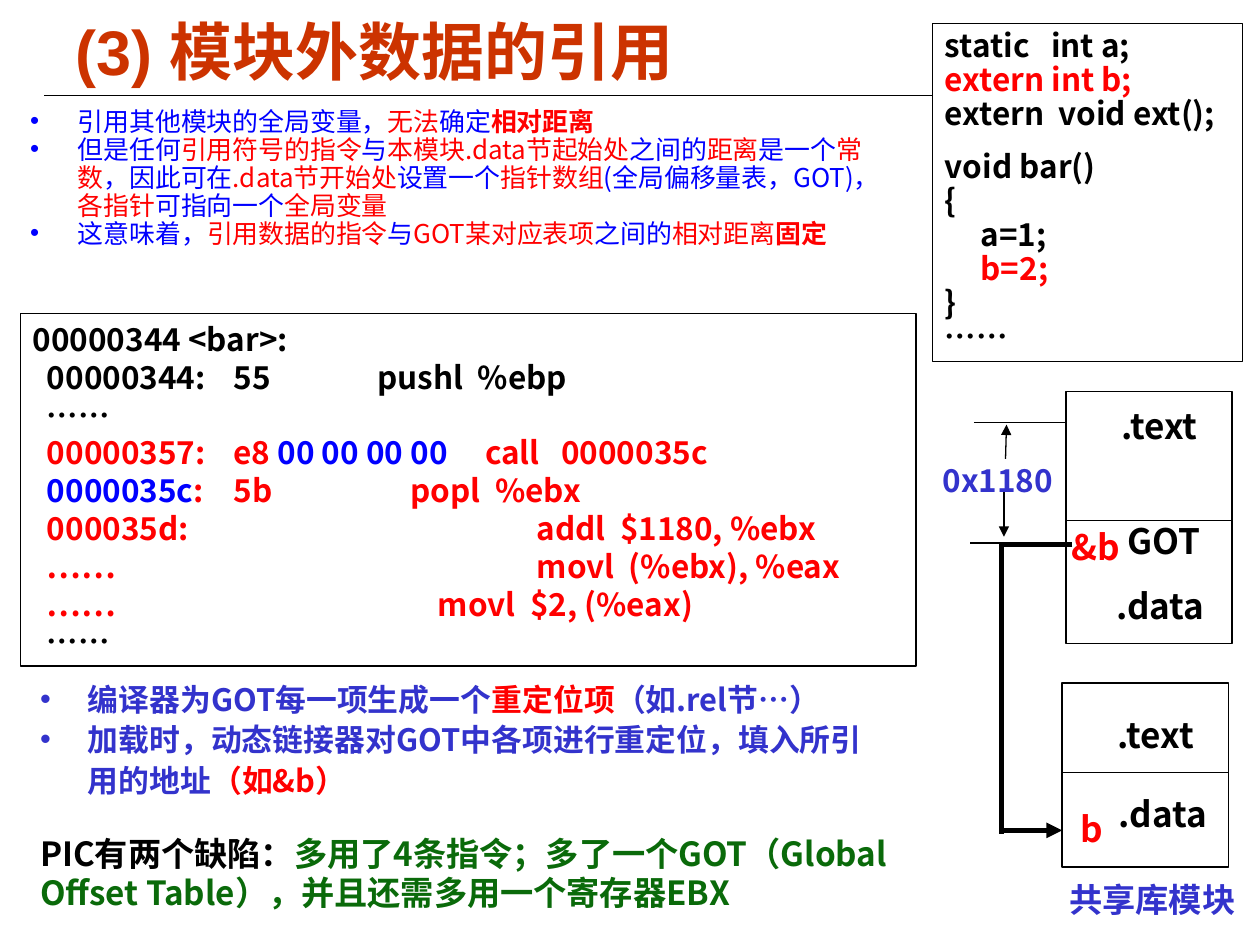
from lxml import etree
from pptx import Presentation
from pptx.dml.color import RGBColor
from pptx.enum.shapes import MSO_CONNECTOR, MSO_SHAPE
from pptx.enum.text import MSO_ANCHOR, PP_ALIGN
from pptx.oxml.ns import qn
from pptx.util import Cm, Pt

STRAIGHT, RECTANGLE = MSO_CONNECTOR.STRAIGHT, MSO_SHAPE.RECTANGLE
TOP, MIDDLE, LEFT = MSO_ANCHOR.TOP, MSO_ANCHOR.MIDDLE, PP_ALIGN.LEFT

THEME = {
    "latin": "Arial", "cjk": "Noto Sans CJK SC", "leading": 1.2,
    "black": "000000", "red": "FF0000", "blue": "0000FF", "indigo": "3333CC",
    "green": "0A6A0A", "rust": "CC3300", "white": "FFFFFF",
    "title": 36, "notes": 14.8, "code": 18, "reloc": 17.6, "drawback": 19,
    "label": 20, "thin": 0.75, "thick": 3,
}

# Content: a paragraph is a list of (text, colour) or (text, colour, bold) runs
TITLE = [[("(3) 模块外数据的引用", "rust")]]
NOTES = [
    [("引用其他模块的全局变量，", "blue"), ("无法", "red"), ("确定", "blue"),
     ("相对距离", "red", True)],
    [("但是任何", "blue"), ("引用符号的指令", "red"), ("与", "blue"),
     ("本模块.data节起始处", "red"), ("之间的", "blue"), ("距离", "red"),
     ("是一个", "blue"), ("常数", "red"), ("，因此可在", "blue"),
     (".data节开始处", "red"), ("设置一个", "blue"), ("指针数组", "red"),
     ("(全局偏移量表，GOT)，", "blue"), ("各指针", "red"),
     ("可指向一个", "blue"), ("全局变量", "red")],
    [("这意味着，", "blue"), ("引用数据的指令", "red"), ("与", "blue"),
     ("GOT某对应表项", "red"), ("之间的", "blue"), ("相对距离", "red"),
     ("固定", "red", True)],
]
SOURCE_CODE = [
    [("static   int a;", "black")],
    [("extern int b;", "red")],
    [("extern  void ext();", "black")],
    [("void bar()", "black")],
    [("{", "black")],
    [("     a=1;", "black")],
    [("     b=2;", "red")],
    [("}", "black")],
    [("……", "black")],
]
BODY_ROW, BODY_GAP = 3, 10.8
DISASSEMBLY = [
    [("00000344 <bar>:", "black")],
    [("  00000344:\t55\tpushl  %ebp", "black")],
    [("  ……", "black")],
    [("  00000357:\te8 ", "red"), ("00 00 00 00", "blue"),
     ("\tcall   0000035c", "red")],
    [("  0000035c", "blue"), (":\t5b\tpopl  %ebx", "red")],
    [("  000035d:\taddl  $1180, %ebx", "red")],
    [("  ……\tmovl  (%ebx), %eax", "red")],
    [("  ……\tmovl  $2, (%eax)", "red")],
    [("  ……", "black")],
]
BYTES = 4.05  # tab column of the machine code
DISASSEMBLY_TABS = {1: [BYTES, 6.95], 3: [BYTES, 9.12], 4: [BYTES, 7.62],
                    5: [10.16], 6: [10.16], 7: [8.17]}
RELOCATION = [
    [("编译器为GOT每一项生成一个", "indigo"), ("重定位项", "red"),
     ("（如.rel节…）", "indigo")],
    [("加载时，动态链接器对GOT中各项进行重定位，填入所引用的地址", "indigo"),
     ("（如&b）", "red")],
]
DRAWBACK = [[("PIC有两个缺陷：", "black"),
             ("多用了4条指令；多了一个GOT（Global Offset Table），"
              "并且还需多用一个寄存器EBX", "green")]]
OFFSET = [[("0x1180", "indigo")]]
LIBRARY = [[("共享库模块", "indigo")]]

# Memory sections: left, top, height; labels: text, colour, left, top
SECTION_WIDTH = 3.35
SECTIONS = [(21.49, 7.9, 2.6), (21.49, 10.5, 2.48),
            (21.41, 13.77, 1.81), (21.41, 15.58, 1.9)]
LABELS = [
    (".text", "black", 22.35, 8.03), ("GOT", "black", 22.48, 10.34),
    ("&b", "red", 21.36, 10.46), (".data", "black", 22.25, 11.66),
    (".text", "black", 22.28, 14.25), ("b", "red", 21.54, 16.15),
    (".data", "black", 22.3, 15.85),
]
# Lines: x1, y1, x2, y2, weight, arrowhead
TITLE_RULE = (0.89, 1.93, 24.51, 1.93, "thin", False)
OFFSET_LINES = [
    (19.63, 8.51, 21.69, 8.51, "thin", False),
    (19.56, 10.95, 21.54, 10.95, "thin", False),
    (20.27, 9.25, 20.29, 8.56, "thin", True),
    (20.24, 9.88, 20.24, 10.82, "thin", True),
]
POINTER_LINES = [
    (21.62, 10.97, 20.19, 10.97, "thick", False),
    (20.19, 10.97, 20.19, 16.82, "thick", False),
    (20.19, 16.74, 21.41, 16.74, "thick", True),
]


def color(name):
    return RGBColor.from_string(THEME[name])


def add_bullet(props, name):
    fill = etree.SubElement(props, qn("a:buClr"))
    etree.SubElement(fill, qn("a:srgbClr"), val=THEME[name])
    etree.SubElement(props, qn("a:buFont"), typeface=THEME["latin"])
    etree.SubElement(props, qn("a:buChar"), char="•")
    props.set("marL", str(Cm(0.96)))
    props.set("indent", str(Cm(-0.96)))


def add_tabs(props, stops):
    tab_list = etree.SubElement(props, qn("a:tabLst"))
    for stop in stops:
        etree.SubElement(tab_list, qn("a:tab"), pos=str(Cm(stop)), algn="l")


def write(holder, paragraphs, size, font="cjk", bold=True, spacing=1.0,
          bullet=None, tabs=None, gaps=None, anchor=TOP):
    frame = holder.text_frame
    frame_format = {"word_wrap": True, "vertical_anchor": anchor,
                    "margin_left": Cm(0.25), "margin_right": Cm(0.25),
                    "margin_top": Cm(0.13), "margin_bottom": Cm(0.13)}
    for key, value in frame_format.items():
        setattr(frame, key, value)
    points = THEME[size]
    for row, runs in enumerate(paragraphs):
        paragraph = frame.add_paragraph() if row else frame.paragraphs[0]
        props = paragraph._p.get_or_add_pPr()
        props.set("hangingPunct", "0")  # punctuation stays inside the margin
        if bullet:
            add_bullet(props, bullet)
        if tabs and row in tabs:
            add_tabs(props, tabs[row])
        paragraph.alignment = LEFT
        if spacing:  # fixed pitch, whatever font a run falls back to
            paragraph.line_spacing = Pt(
                round(points * THEME["leading"] * spacing, 1))
        if gaps and row in gaps:
            paragraph.space_before = Pt(gaps[row])
        for text, name, *strong in runs:
            run = paragraph.add_run()
            run.text = text
            run.font.color.rgb = color(name)
            run_format = {"size": Pt(points), "name": THEME[font],
                          "bold": bold or bool(strong)}
            for key, value in run_format.items():
                setattr(run.font, key, value)
            etree.SubElement(run._r.get_or_add_rPr(), qn("a:ea"),
                             typeface=THEME["cjk"])


def add_text(slide, box, paragraphs, size, **style):
    holder = slide.shapes.add_textbox(*map(Cm, box))
    write(holder, paragraphs, size, **style)


def add_box(slide, box, fill="white"):
    panel = slide.shapes.add_shape(RECTANGLE, *map(Cm, box))
    panel.shadow.inherit = False
    if fill:
        panel.fill.solid()
        panel.fill.fore_color.rgb = color(fill)
    else:
        panel.fill.background()
    panel.line.color.rgb = color("black")
    panel.line.width = Pt(THEME["thin"])
    return panel


def add_line(slide, x1, y1, x2, y2, weight, arrow):
    line = slide.shapes.add_connector(STRAIGHT, *map(Cm, (x1, y1, x2, y2)))
    line.line.color.rgb = color("black")
    line.line.width = Pt(THEME[weight])
    if arrow:
        etree.SubElement(line.line._get_or_add_ln(), qn("a:tailEnd"),
                         type="triangle")
    etree.SubElement(line._element.spPr, qn("a:effectLst"))


def main():
    deck = Presentation()
    deck.slide_width, deck.slide_height = Cm(25.4), Cm(19.05)
    slide = deck.slides.add_slide(deck.slide_layouts[6])

    # Title and explanation
    add_line(slide, *TITLE_RULE)
    add_text(slide, (1.27, 0.23, 22.86, 1.55), TITLE, "title", font="latin",
             spacing=None, anchor=MIDDLE)
    add_text(slide, (0.36, 2.06, 18.06, 4.22), NOTES, "notes", bold=False,
             spacing=0.9, bullet="blue")

    # C source and its disassembly
    write(add_box(slide, (18.8, 0.48, 6.25, 6.81)), SOURCE_CODE, "code",
          spacing=0.9, gaps={BODY_ROW: BODY_GAP})
    write(add_box(slide, (0.41, 6.32, 18.06, 7.11), fill=None), DISASSEMBLY,
          "code", tabs=DISASSEMBLY_TABS)

    # Conclusions
    add_text(slide, (0.56, 16.66, 19.13, 1.88), DRAWBACK, "drawback")
    add_text(slide, (0.56, 13.51, 17.48, 3.33), RELOCATION, "reloc",
             spacing=1.1, bullet="indigo")

    # Memory diagram
    for line in OFFSET_LINES:
        add_line(slide, *line)
    add_text(slide, (18.75, 9.17, 3.07, 1.02), OFFSET, "code")
    for left, top, height in SECTIONS:
        add_box(slide, (left, top, SECTION_WIDTH, height))
    for text, name, left, top in LABELS:
        add_text(slide, (left, top, 2.31, 1.12), [[(text, name)]], "label")
    for line in POINTER_LINES:
        add_line(slide, *line)
    add_text(slide, (21.31, 17.6, 4.05, 1.07), LIBRARY, "drawback",
             font="latin")

    deck.save("out.pptx")


if __name__ == "__main__":
    main()
